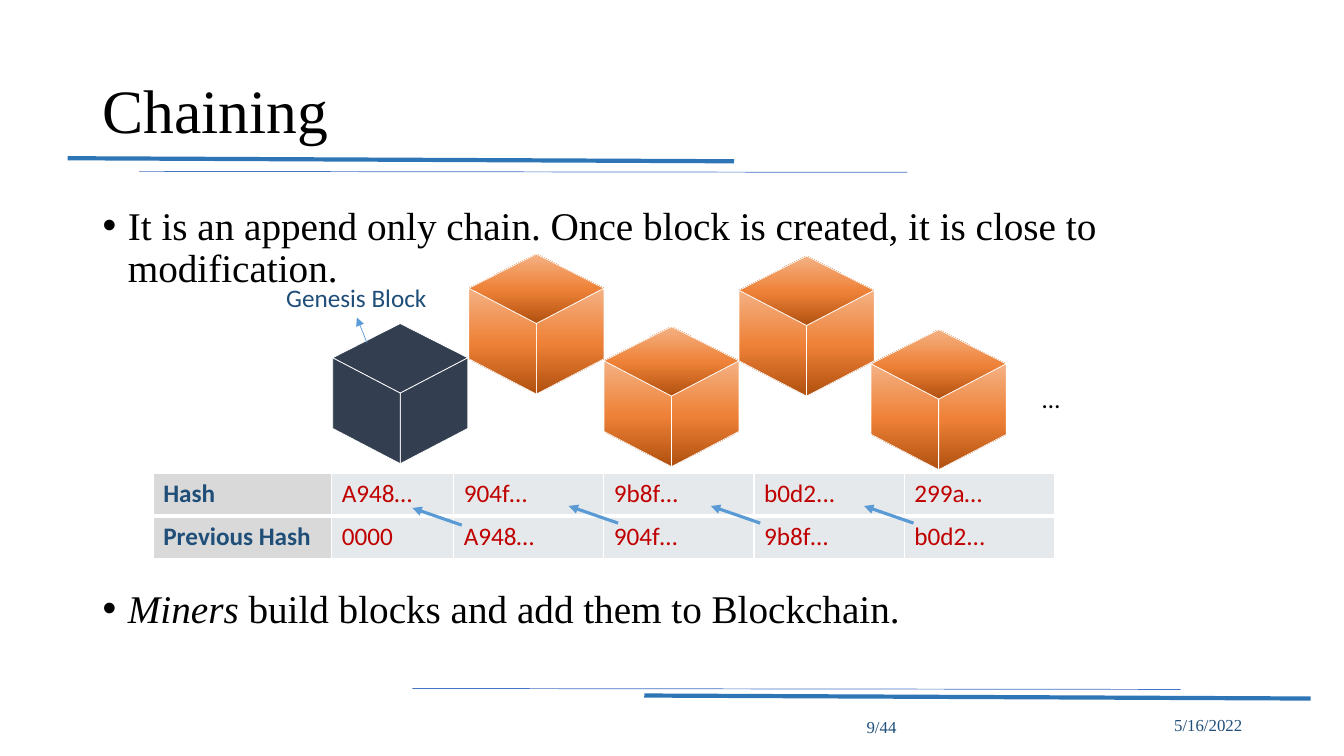
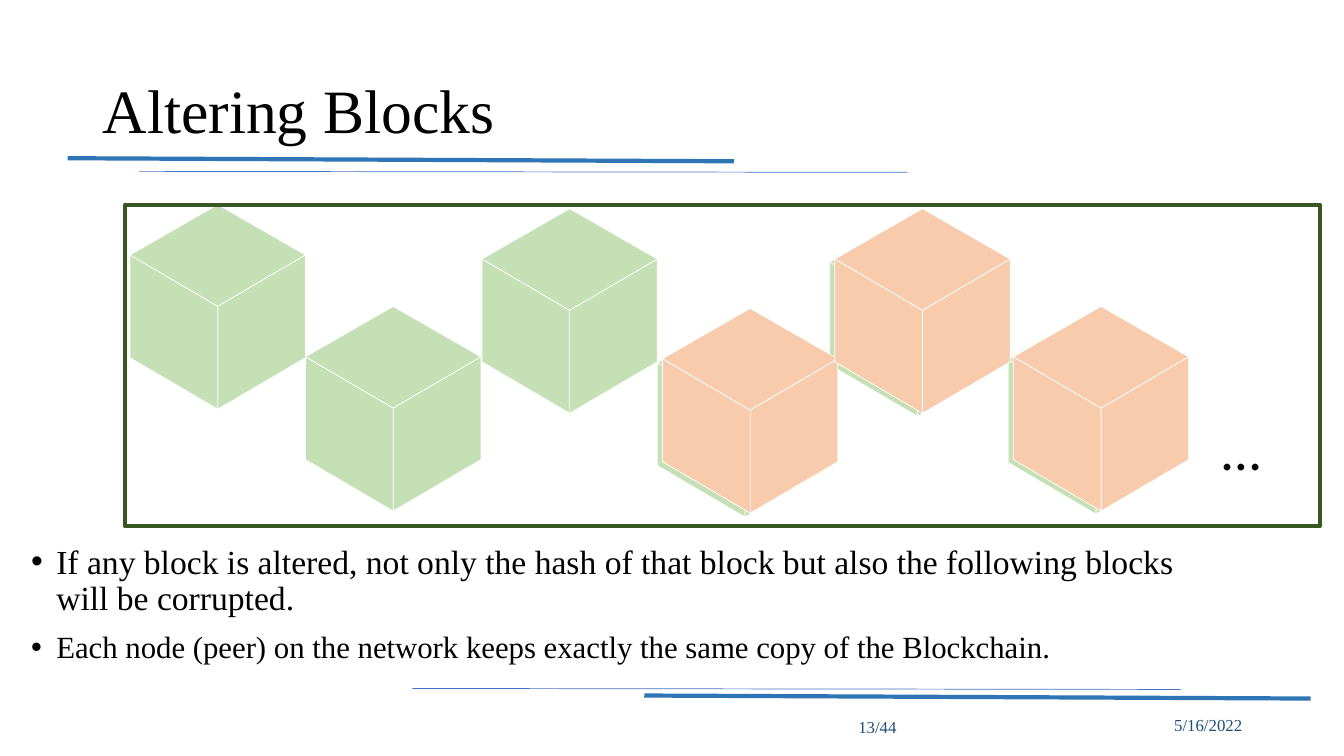
from copy import deepcopy

from lxml.etree import SubElement
from pptx import Presentation
from pptx.dml.color import RGBColor
from pptx.enum.shapes import MSO_CONNECTOR, MSO_SHAPE
from pptx.enum.text import MSO_ANCHOR, PP_ALIGN
from pptx.oxml.ns import qn
from pptx.util import Pt

SCALE = 9144  # EMU in one px, 100 px to the inch
SERIF, SANS = "Times New Roman", "Calibri"
BLACK, WHITE, NAVY, RED = "000000", "FFFFFF", "1F4E79", "C00000"
BAND, THIN, ARROW = "2E75B6", "4472C4", "5B9BD5"
SLATE, GREEN, PEACH, FRAME = "333F50", "C5E0B4", "F8CBAD", "385723"
ORANGE = [(0, "B0500F"), (0.48, "EE8137"), (1, "F4B183")]
GREY, PALE = "D9D9D9", "E5E9EB"
RULES = [
    (409, 683, 1171, 684, THIN, 0.5),
    (639, 690, 1300, 693, BAND, 3),
    (67, 157, 728, 160, BAND, 3),
    (138, 170, 900, 171, THIN, 0.5),
]


def px(*vals):
    return [val * SCALE for val in vals]


def color(code):
    return RGBColor.from_string(code)


def style(run, size, font=SERIF, ink=BLACK, bold=False, slant=False):
    run.font.size = Pt(size)
    run.font.name = font
    run.font.color.rgb = color(ink)
    run.font.bold = bold
    run.font.italic = slant


def paint(shape, fill):
    """Fill with a colour, or with a list of (position, colour) stops going up."""
    if isinstance(fill, str):
        shape.fill.solid()
        shape.fill.fore_color.rgb = color(fill)
        return
    shape.fill.gradient()
    shape.fill.gradient_angle = 90
    stops = shape._element.spPr.find(qn("a:gradFill")).find(qn("a:gsLst"))
    while len(stops) < len(fill):
        stops.append(deepcopy(stops[0]))
    for stop, (pos, code) in zip(shape.fill.gradient_stops, fill):
        stop.position = pos
        stop.color.rgb = color(code)


def edge(cell, side, width):
    """Draw a white border on one side: L, R, T or B."""
    line = SubElement(cell._tc.get_or_add_tcPr(), qn("a:ln" + side), w=str(Pt(width)))
    fill = SubElement(line, qn("a:solidFill"))
    SubElement(fill, qn("a:srgbClr"), val=WHITE)


class Deck:
    def __init__(self):
        self.prs = Presentation()
        self.prs.slide_width, self.prs.slide_height = px(1333, 750)
        self.shapes = None

    def start(self, title, page):
        """Add a slide with its rules, title and footer."""
        self.shapes = self.prs.slides.add_slide(self.prs.slide_layouts[6]).shapes
        for rule in RULES:
            self.line(*rule)
        head = self.text(92, 40, 1150, 145, title, 44, anchor=MSO_ANCHOR.MIDDLE)
        head.paragraphs[0].line_spacing = 0.9
        for box, words in (((1101, 699, 141, 40), "5/16/2022"), ((818, 696, 81, 51), page)):
            foot = self.text(*box, words, 12, ink=NAVY, anchor=MSO_ANCHOR.MIDDLE)
            foot.paragraphs[0].alignment = PP_ALIGN.RIGHT

    def line(self, x1, y1, x2, y2, ink, width, arrow=False):
        link = self.shapes.add_connector(MSO_CONNECTOR.STRAIGHT, *px(x1, y1, x2, y2))
        link.line.color.rgb = color(ink)
        link.line.width = Pt(width)
        props = link._element.spPr
        if arrow:
            SubElement(props.find(qn("a:ln")), qn("a:tailEnd"), type="triangle")
        SubElement(props, qn("a:effectLst"))

    def text(self, x, y, w, h, words, size, font=SERIF, ink=BLACK,
             anchor=MSO_ANCHOR.TOP, wrap=True):
        frame = self.shapes.add_textbox(*px(x, y, w, h)).text_frame
        frame.word_wrap = wrap
        frame.vertical_anchor = anchor
        frame.text = words
        style(frame.paragraphs[0].runs[0], size, font, ink)
        return frame

    def bullets(self, x, y, w, h, items):
        """Each item is an italic lead, text, size and space before."""
        frame = self.shapes.add_textbox(*px(x, y, w, h)).text_frame
        frame.word_wrap = True
        for num, (lead, words, size, gap) in enumerate(items):
            para = frame.add_paragraph() if num else frame.paragraphs[0]
            para.line_spacing = 0.9
            para.space_before = Pt(gap)
            props = para._p.get_or_add_pPr()
            props.set("marL", str(25 * SCALE))
            props.set("indent", str(-25 * SCALE))
            SubElement(props, qn("a:buFont"), typeface="Arial")
            SubElement(props, qn("a:buChar"), char="•")
            for part in filter(None, (lead, words)):
                run = para.add_run()
                run.text = part
                style(run, size, slant=part == lead)

    def cube(self, x, y, size, fill):
        """Size is half the width, the height of the lid and that of a side."""
        half, lid, side = size
        mid, right = x + half, x + 2 * half
        brow, nose = y + lid // 2, y + lid
        faces = [[(mid, nose), (x, brow), (mid, y), (right, brow)]]
        for out in (right, x):
            faces.append([(mid, nose + side), (mid, nose), (out, brow), (out, brow + side)])
        group = self.shapes.add_group_shape()
        for face in faces:
            pen = group.shapes.build_freeform(*face[0], scale=SCALE)
            pen.add_line_segments(face[1:], close=True)
            shape = pen.convert_to_shape()
            shape.shadow.inherit = False
            paint(shape, fill)
            shape.line.color.rgb = color(WHITE)
            shape.line.width = Pt(0.5)

    def frame(self, x, y, w, h, ink, width):
        rect = self.shapes.add_shape(MSO_SHAPE.RECTANGLE, *px(x, y, w, h))
        rect.shadow.inherit = False
        rect.fill.background()
        rect.line.color.rgb = color(ink)
        rect.line.width = Pt(width)

    def table(self, x, y, cols, tall, rows):
        """Draw rows whose first cell is a heading."""
        box = px(x, y, sum(cols), tall * len(rows))
        grid = self.shapes.add_table(len(rows), len(cols), *box).table
        grid.first_row = grid.horz_banding = False
        for col, wide in zip(grid.columns, cols):
            col.width = wide * SCALE
        for r, row in enumerate(rows):
            grid.rows[r].height = tall * SCALE
            for c, words in enumerate(row):
                cell = grid.cell(r, c)
                for side in "LRTB":
                    inner = (side == "T" and r > 0) or (side == "B" and r < len(rows) - 1)
                    edge(cell, side, 3 if inner else 1)
                paint(cell, PALE if c else GREY)
                cell.text = words
                run = cell.text_frame.paragraphs[0].runs[0]
                style(run, 18, SANS, RED if c else NAVY, bold=c == 0)


def chain(deck):
    deck.start("Chaining", "9/44")
    deck.bullets(92, 200, 1150, 476, [
        ("", "It is an append only chain. Once block is created, "
             "it is close to modification.", 28, 10),
        ("Miners", " build blocks and add them to Blockchain.", 28, 213),
    ])
    size = (67, 69, 70)
    deck.cube(330, 321, size, SLATE)
    for x, y in ((465, 252), (599, 324), (733, 254), (864, 327)):
        deck.cube(x, y, size, ORANGE)
    deck.text(274, 275, 161, 40, "Genesis Block", 18, SANS, NAVY, wrap=False)
    deck.line(364, 340, 354, 315, ARROW, 0.5, arrow=True)
    deck.text(1024, 375, 38, 40, "…", 18, SANS, wrap=False)
    deck.table(152, 470, [177, 121] + [149] * 4, 42, [
        ["Hash", "A948…", "904f…", "9b8f…", "b0d2...", "299a…"],
        ["Previous Hash", "0000", "A948…", "904f…", "9b8f…", "b0d2..."],
    ])
    for x, y in ((458, 521), (613, 519), (754, 519), (906, 519)):
        deck.line(x, y, x - 49, y - 17, ARROW, 2.25, arrow=True)


def alter(deck):
    deck.start("Altering Blocks", "13/44")
    size = (87, 101, 102)
    for x, y in ((129, 203), (478, 207), (303, 304), (652, 310), (823, 210), (1000, 307)):
        deck.cube(x, y, size, GREEN)
    deck.frame(124, 203, 1185, 319, FRAME, 3)
    deck.text(1202, 406, 59, 77, "…", 40, SANS, wrap=False)
    for x, y in ((657, 306), (828, 207), (1005, 304)):
        deck.cube(x, y, size, PEACH)
    deck.bullets(21, 536, 1201, 143, [
        ("", "If any block is altered, not only the hash of that block "
             "but also the following blocks will be corrupted.", 24, 10),
        ("", "Each node (peer) on the network keeps exactly the same copy "
             "of the Blockchain.", 22, 10),
    ])


def main():
    deck = Deck()
    chain(deck)
    alter(deck)
    deck.prs.save("out.pptx")


if __name__ == "__main__":
    main()
